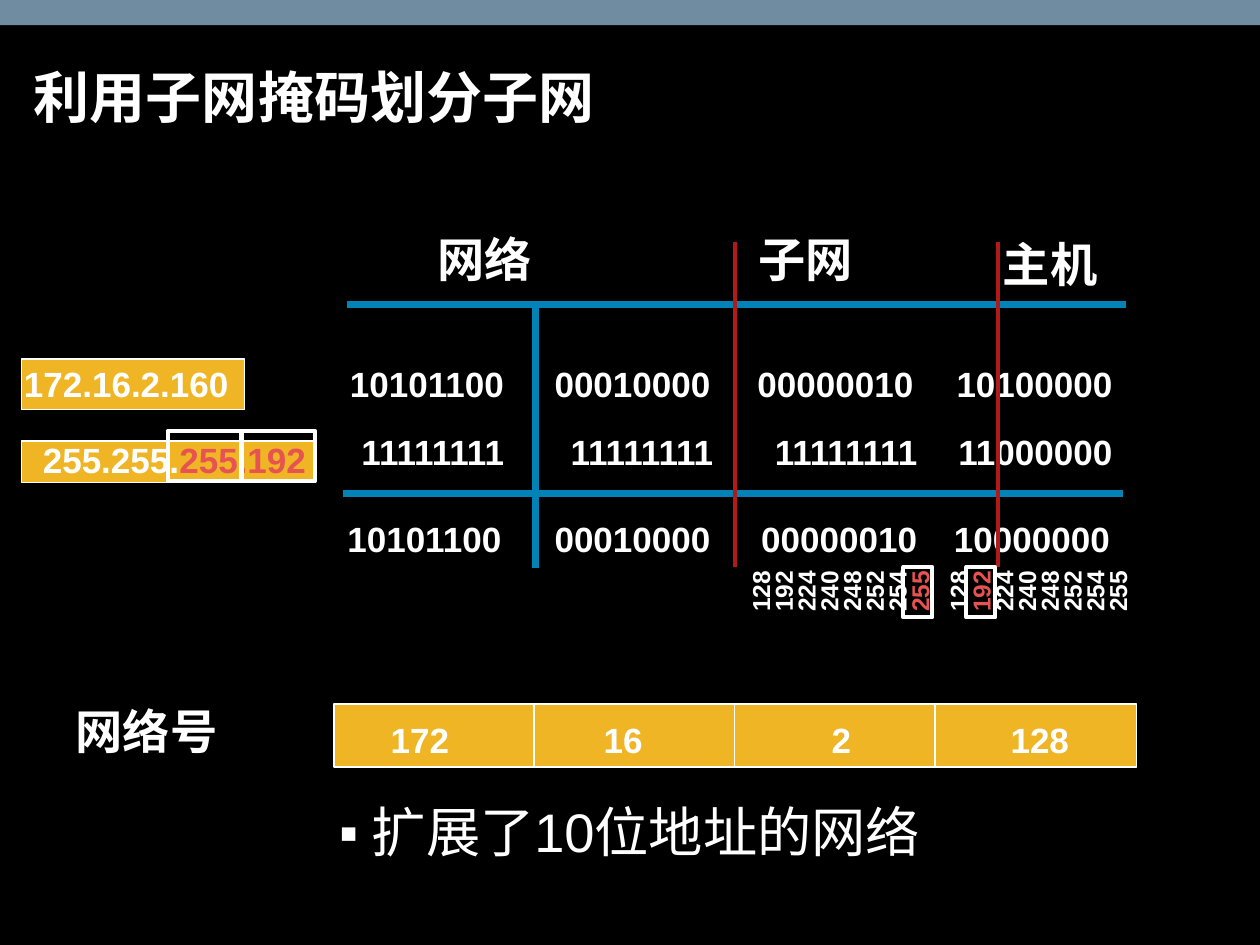
from pptx import Presentation
from pptx.dml.color import RGBColor
from pptx.enum.shapes import MSO_CONNECTOR, MSO_SHAPE
from pptx.enum.text import MSO_ANCHOR, PP_ALIGN
from pptx.oxml.ns import qn
from pptx.util import Inches, Pt
from lxml import etree

RECT = MSO_SHAPE.RECTANGLE
STRAIGHT = MSO_CONNECTOR.STRAIGHT
TOP, MIDDLE, BOTTOM = MSO_ANCHOR.TOP, MSO_ANCHOR.MIDDLE, MSO_ANCHOR.BOTTOM
LEFT, CENTER, RIGHT = PP_ALIGN.LEFT, PP_ALIGN.CENTER, PP_ALIGN.RIGHT

THEME = {
    "font": "Arial", "black": "000000", "white": "FFFFFF", "band": "708CA1",
    "gold": "EFB525", "blue": "0183B7", "dark_red": "B21A1A", "red": "E75252",
    "title": 32, "body": 31, "heading": 27, "value": 20, "scale": 14,
}

TITLE = "利用子网掩码划分子网"
SUMMARY = "扩展了10位地址的网络"
HEADINGS = [("网络", 3.45, 1.81), ("子网", 6, 1.81), ("主机", 7.94, 1.85), ("网络号", 0.58, 5.56)]
ADDRESS = "172.16.2.160"
MASK = [("255.255.", "white"), ("255.192", "red")]

BIT_ROWS = [
    (2.88, 21.4, [("10101100", 4.02), ("00010000", 5.66), ("00000010", 7.27), ("10100000", 8.85)]),
    (3.44, 20.2, [("11111111", 4.02), ("11111111", 5.68), ("11111111", 7.3), ("11000000", 8.85)]),
    (4.08, 23.6, [("10101100", 4), ("00010000", 5.66), ("00000010", 7.3), ("10000000", 8.83)]),
]
RULES = [
    (2.72, 3.92, 8.91, 3.92, "blue", 4),
    (2.75, 2.42, 8.94, 2.42, "blue", 4),
    (4.25, 2.42, 4.25, 4.51, "blue", 4),
    (5.83, 1.92, 5.83, 4.5, "dark_red", 2.25),
    (7.92, 1.92, 7.92, 4.5, "dark_red", 2.25),
]
NETWORK_NUMBER = [("172", 3.08), ("16", 4.77), ("2", 6.58), ("128", 8)]
SCALE = ["128", "192", "224", "240", "248", "252", "254", "255"]
SCALES = [(6.04, "255"), (7.61, "192")]
FRAMES = [(7.17, 4.5, 0.23), (7.67, 4.5, 0.23), (1.33, 3.42, 0.58), (1.92, 3.42, 0.58)]


def color(name):
    return RGBColor.from_string(THEME[name])


def add_rect(s, box, fill=None, line=None, width=1):
    sp = s.shapes.add_shape(RECT, *map(Inches, box))
    sp.shadow.inherit = False
    if fill:
        sp.fill.solid()
        sp.fill.fore_color.rgb = color(fill)
    else:
        sp.fill.background()
    if line:
        sp.line.color.rgb = color(line)
        sp.line.width = Pt(width)
    else:
        sp.line.fill.background()
    return sp


def write(sp, paragraphs, size, spacing, align=LEFT, anchor=TOP, inset=(0.02, 0.03), wrap=False, bold=True):
    tf = sp.text_frame
    tf.word_wrap = wrap
    tf.vertical_anchor = anchor
    tf.margin_left = tf.margin_right = Inches(inset[0])
    tf.margin_top = tf.margin_bottom = Inches(inset[1])
    for i, runs in enumerate(paragraphs):
        p = tf.add_paragraph() if i else tf.paragraphs[0]
        p.alignment = align
        p.line_spacing = spacing
        for text, name in runs:
            r = p.add_run()
            r.text = text
            r.font.name = THEME["font"]
            r.font.size = Pt(THEME[size])
            r.font.bold = bold
            r.font.color.rgb = color(name)
    return tf


def add_text(s, box, text, size, spacing, **options):
    sp = s.shapes.add_textbox(*map(Inches, box))
    return write(sp, [[(text, "white")]], size, spacing, **options)


def indent(p, left, first=0, bullet=None):
    pPr = p._p.get_or_add_pPr()
    pPr.set("marL", str(Inches(left)))
    pPr.set("indent", str(Inches(first)))
    if bullet:
        clr = etree.SubElement(pPr, qn("a:buClr"))
        etree.SubElement(clr, qn("a:srgbClr"), val=THEME["white"])
        etree.SubElement(pPr, qn("a:buFont"), typeface=THEME["font"])
        etree.SubElement(pPr, qn("a:buChar"), char=bullet)


def add_rule(s, x1, y1, x2, y2, name, width):
    line = s.shapes.add_connector(STRAIGHT, *map(Inches, (x1, y1, x2, y2)))
    line.line.color.rgb = color(name)
    line.line.width = Pt(width)
    etree.SubElement(line._element.spPr, qn("a:effectLst"))


def main():
    prs = Presentation()
    prs.slide_width, prs.slide_height = Inches(10), Inches(7.5)
    s = prs.slides.add_slide(prs.slide_layouts[6])
    s.background.fill.solid()
    s.background.fill.fore_color.rgb = color("black")

    add_rect(s, (0, 0, 10, 0.2), "band")
    add_text(s, (0.18, 0.21, 9.07, 0.87), TITLE, "title", 0.9, anchor=BOTTOM, inset=(0.09, 0.04), wrap=True)
    tf = add_text(s, (0.5, 6.27, 8.99, 0.7), SUMMARY, "body", 0.95, align=CENTER,
                  anchor=MIDDLE, inset=(0.09, 0.04), wrap=True, bold=False)
    indent(tf.paragraphs[0], 0.26, -0.26, "▪")

    for text, x, y in HEADINGS:
        add_text(s, (x, y, 1.98, 0.69), text, "heading", Pt(31.5))

    sp = add_rect(s, (0.17, 2.85, 1.77, 0.4), "gold", "white", 0.75)
    write(sp, [[(ADDRESS, "white")]], "value", Pt(23.6))
    sp = add_rect(s, (0.17, 3.5, 2.33, 0.33), "gold", "white", 0.75)
    tf = write(sp, [MASK], "value", Pt(20.2))
    indent(tf.paragraphs[0], 0.15)

    for y, spacing, cells in BIT_ROWS:
        for bits, right in cells:
            add_text(s, (right - 1.4, y, 1.4, 0.45), bits, "value", Pt(spacing), align=RIGHT)

    for rule in RULES:
        add_rule(s, *rule)

    for i, (number, x) in enumerate(NETWORK_NUMBER):
        add_rect(s, (2.65 + 1.59 * i, 5.59, 1.6, 0.5), "gold", "white")
        add_text(s, (x, 5.68, 0.81, 0.58), number, "value", Pt(23.6))

    for x, chosen in SCALES:
        sp = s.shapes.add_textbox(*map(Inches, (x, 4.33, 0.53, 0.83)))
        sp.rotation = 270
        lines = [[(v, "red" if v == chosen else "white")] for v in SCALE]
        write(sp, lines, "scale", Pt(13), align=RIGHT, inset=(0.05, 0.08))

    for x, y, width in FRAMES:
        add_rect(s, (x, y, width, 0.4), line="white", width=2.25)

    prs.save("out.pptx")


if __name__ == "__main__":
    main()
